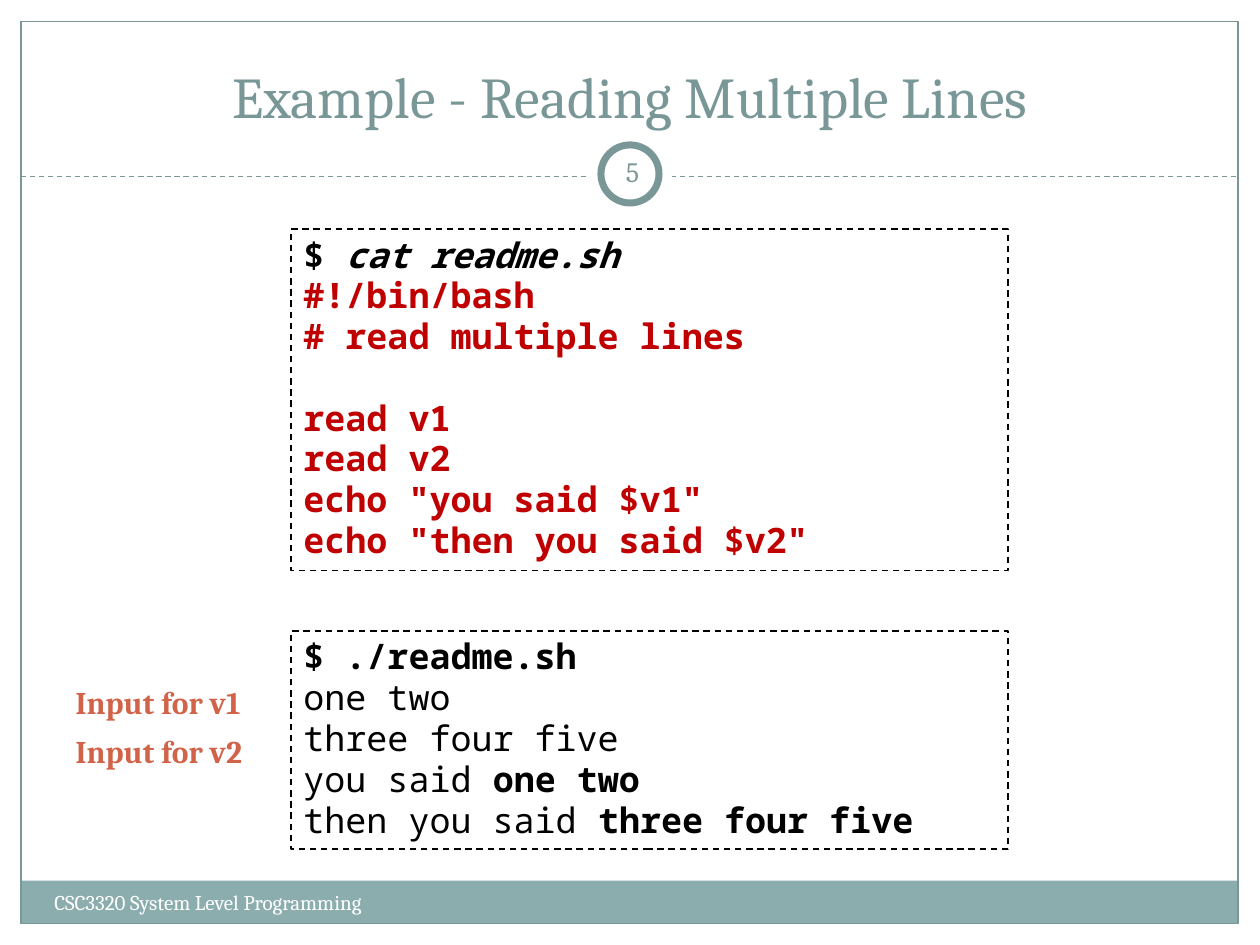
from typing import NamedTuple

from lxml.etree import SubElement
from pptx import Presentation
from pptx.dml.color import RGBColor
from pptx.enum.dml import MSO_LINE
from pptx.enum.shapes import MSO_CONNECTOR, MSO_SHAPE
from pptx.enum.text import MSO_ANCHOR, MSO_AUTO_SIZE, PP_ALIGN
from pptx.oxml.ns import qn
from pptx.util import Pt

WHITE = RGBColor(0xFF, 0xFF, 0xFF)
BLACK = RGBColor(0x00, 0x00, 0x00)
TEAL = RGBColor(0x7A, 0x97, 0x98)
BAR = RGBColor(0x8C, 0xAD, 0xAE)
RED = RGBColor(0xC0, 0x00, 0x00)
ORANGE = RGBColor(0xD1, 0x63, 0x49)
SERIF = "Cambria"
MONO = "Noto Sans Mono"
CODE_LINE = 23.3  # height of one line of code


class Box(NamedTuple):
    left: float
    top: float
    width: float
    height: float

    def lengths(self) -> list:
        return [Pt(v) for v in self]


class Span(NamedTuple):
    text: str
    bold: bool = False
    italic: bool = False
    color: RGBColor = BLACK


class CodeLine(NamedTuple):
    spans: list[Span]
    skipped_lines: int = 0


class Listing(NamedTuple):
    box: Box
    lines: list[CodeLine]


class Label(NamedTuple):
    box: Box
    text: str
    size: float
    color: RGBColor
    bold: bool = False
    centered: bool = False


def red(text: str, skipped_lines: int = 0) -> CodeLine:
    return CodeLine([Span(text, bold=True, color=RED)], skipped_lines)


LISTINGS = [
    Listing(Box(166.3, 131, 409.7, 195.1), [
        CodeLine([Span("$ ", bold=True), Span("cat readme.sh", bold=True, italic=True)]),
        red("#!/bin/bash"),
        red("# read multiple lines"),
        red("read v1", skipped_lines=1),
        red("read v2"),
        red('echo "you said $v1"'),
        red('echo "then you said $v2"'),
    ]),
    Listing(Box(166.3, 360.7, 409.7, 124.6), [
        CodeLine([Span("$ ./readme.sh", bold=True)]),
        CodeLine([Span("one two")]),
        CodeLine([Span("three four five")]),
        CodeLine([Span("you said "), Span("one two", bold=True)]),
        CodeLine([Span("then you said "), Span("three four five", bold=True)]),
    ]),
]

LABELS = [
    Label(Box(24, 504.7, 282, 28.8), "CSC3320 System Level Programming", 12, WHITE),
    Label(Box(343.4, 80.6, 36, 34.6), "5", 16, TEAL, centered=True),
    Label(Box(36, 386.6, 126, 28.8), "Input for v1", 18, ORANGE, bold=True),
    Label(Box(36, 414.7, 126, 28.8), "Input for v2", 18, ORANGE, bold=True),
]


def style_run(r, font: str, size: float, color: RGBColor, bold=False, italic=False) -> None:
    r.font.name = font
    r.font.size = Pt(size)
    r.font.color.rgb = color
    r.font.bold = bold
    r.font.italic = italic


def add_plain_shape(s, kind, box: Box, fill=None, line=None, weight=0.75):
    sp = s.shapes.add_shape(kind, *box.lengths())
    sp.shadow.inherit = False
    if fill is None:
        sp.fill.background()
    else:
        sp.fill.solid()
        sp.fill.fore_color.rgb = fill
    if line is None:
        sp.line.fill.background()
    else:
        sp.line.color.rgb = line
        sp.line.width = Pt(weight)
    return sp


def add_frame(s) -> None:
    """Draw the footer bar, border, dashed rule and page number ring."""
    add_plain_shape(s, MSO_SHAPE.RECTANGLE, Box(12, 503.3, 695.5, 24.5), BAR)
    add_plain_shape(s, MSO_SHAPE.RECTANGLE, Box(12, 12.2, 695.5, 515.5), line=TEAL)
    rule = s.shapes.add_connector(MSO_CONNECTOR.STRAIGHT, Pt(12), Pt(100.8), Pt(707.5), Pt(100.8))
    rule.line.color.rgb = TEAL
    rule.line.width = Pt(0.75)
    rule.line.dash_style = MSO_LINE.DASH
    SubElement(rule._element.spPr, qn("a:effectLst"))
    add_plain_shape(s, MSO_SHAPE.OVAL, Box(336, 75.4, 48, 48), WHITE)
    add_plain_shape(s, MSO_SHAPE.OVAL, Box(343.4, 82.8, 33.2, 33.2), WHITE, TEAL, 4)


def set_title(s, text: str) -> None:
    sp = s.shapes.title
    sp.left, sp.top, sp.width, sp.height = Box(24, 18, 672, 59.8).lengths()
    tf = sp.text_frame
    tf.text = text
    tf.auto_size = MSO_AUTO_SIZE.NONE
    tf.vertical_anchor = MSO_ANCHOR.BOTTOM
    p = tf.paragraphs[0]
    p.alignment = PP_ALIGN.CENTER
    style_run(p.runs[0], SERIF, 33, TEAL)


def add_label(s, label: Label) -> None:
    tf = s.shapes.add_textbox(*label.box.lengths()).text_frame
    tf.word_wrap = True
    tf.text = label.text
    p = tf.paragraphs[0]
    if label.centered:
        tf.vertical_anchor = MSO_ANCHOR.MIDDLE
        tf.margin_left = tf.margin_right = Pt(3.6)
        p.alignment = PP_ALIGN.CENTER
    style_run(p.runs[0], SERIF, label.size, label.color, label.bold)


def add_listing(s, listing: Listing) -> None:
    sp = add_plain_shape(s, MSO_SHAPE.RECTANGLE, listing.box, WHITE, BLACK, 0.9)
    sp.line.dash_style = MSO_LINE.DASH
    tf = sp.text_frame
    tf.word_wrap = True
    tf.vertical_anchor = MSO_ANCHOR.TOP
    for i, line in enumerate(listing.lines):
        p = tf.add_paragraph() if i else tf.paragraphs[0]
        p.alignment = PP_ALIGN.LEFT
        p.line_spacing = 0.97
        p.space_before = Pt(line.skipped_lines * CODE_LINE)
        for span in line.spans:
            r = p.add_run()
            r.text = span.text
            style_run(r, MONO, 20, span.color, span.bold, span.italic)


def main() -> None:
    prs = Presentation()
    prs.slide_width, prs.slide_height = Pt(720), Pt(540)
    s = prs.slides.add_slide(prs.slide_layouts[5])
    set_title(s, "Example - Reading Multiple Lines")
    add_frame(s)
    for listing in LISTINGS:
        add_listing(s, listing)
    for label in LABELS:
        add_label(s, label)
    prs.save("out.pptx")


if __name__ == "__main__":
    main()
